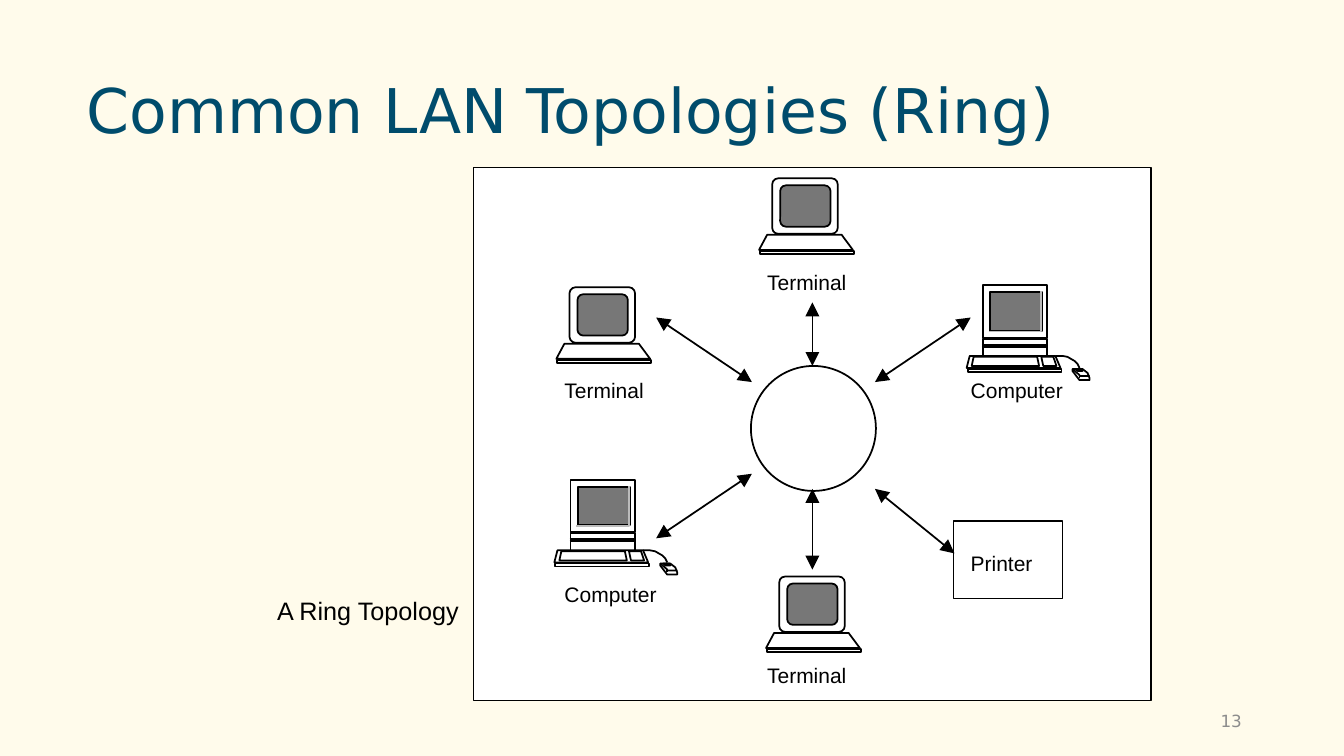
"""Build a slide showing a ring topology of terminals, computers and a printer."""
from dataclasses import dataclass

from lxml import etree
from pptx import Presentation
from pptx import util as u
from pptx.dml.color import RGBColor
from pptx.enum import shapes, text
from pptx.oxml.ns import qn


@dataclass(frozen=True)
class Theme:
    """Colours, fonts, type sizes and line widths of the slide."""
    background: str = "FFFBEB"
    title: str = "004C6C"
    number: str = "8C8C8C"
    ink: str = "000000"
    paper: str = "FFFFFF"
    screen: str = "777777"
    highlight: str = "BBBBBB"
    heading_font: str = "DejaVu Sans"
    body_font: str = "Arial"
    title_size: float = 44
    caption_size: float = 18
    label_size: float = 15
    number_size: float = 12
    frame_line: float = 0.75
    line: float = 1.25


THEME = Theme()
SHAPE = shapes.MSO_SHAPE
TERMINALS = [(397.4, 205.2), (542.2, 127.4), (547.2, 411.8)]
COMPUTERS = [(396, 342.7), (690.5, 203.8)]
LABELS = [
    ("Terminal", 548, 192.2), ("Terminal", 403.2, 270), ("Terminal", 548, 473),
    ("Computer", 693.4, 270), ("Computer", 403.2, 415.4), ("Printer", 693.4, 393.1),
]
ARROWS = [
    (468.7, 226.8, 537.1, 272.9), (580.3, 216, 580.3, 261.4),
    (693.4, 226.8, 625, 272.9), (625, 349.2, 681.8, 395.3),
    (580.3, 349.2, 580.3, 406.8), (468.7, 384.5, 537.1, 338.4),
]
MOUSE = [(82.8, 59.8), (75.6, 59.8), (75.6, 61.2), (80.6, 67.7),
         (87.8, 67.7), (87.8, 66.2), (86.4, 62.6)]
MOUSE_EDGE = [(75.6, 59.8), (80.6, 64.1), (80.6, 64.8), (87.8, 64.8)]
MOUSE_BUTTON = [(77.8, 59.8), (79.2, 61.2), (82.8, 61.2), (82.1, 59.8)]
CABLE = [(63.4, 50.4), (68.4, 50.4), (72, 51.1), (77, 54), (79.2, 56.2), (80.6, 59)]
KEYBOARD = [(0, 59), (2.2, 50.4), (63.4, 50.4), (67, 59)]
NUMBER_PAD = [(54.7, 57.6), (53.3, 51.1), (61.9, 51.1), (64.1, 57.6)]
MAIN_KEYS = [(51.8, 57.6), (50.4, 51.1), (5, 51.1), (3.6, 57.6)]
SCREEN_EDGE = [(15.8, 33.1), (53.3, 33.1), (53.3, 4.3)]
DRIVE_LINES = [(10.8, 42.5, 56.9, 42.5), (10.8, 43.9, 56.9, 43.9),
               (15.8, 43.9, 16.6, 42.5), (29.5, 43.9, 29.5, 42.5),
               (80.6, 66.2, 80.6, 64.8)]
TERMINAL_KEYBOARD = [(0, 51.1), (5.8, 40.3), (59, 40.3), (67, 51.1)]


def paint(shape, fill, line=THEME.ink, width=THEME.line):
    """Give a shape its fill and line, without a shadow."""
    shape.shadow.inherit = False
    if fill:
        shape.fill.solid()
        shape.fill.fore_color.rgb = RGBColor.from_string(fill)
    else:
        shape.fill.background()
    shape.line.color.rgb = RGBColor.from_string(line)
    shape.line.width = u.Pt(width)


def add_box(slide, kind, box, fill, width=THEME.line, rounding=None):
    """Add a preset shape."""
    shape = slide.shapes.add_shape(kind, *map(u.Pt, box))
    if rounding is not None:
        shape.adjustments[0] = rounding
    paint(shape, fill, width=width)


def add_outline(slide, origin, points, fill=None, closed=True, line=THEME.ink):
    """Add a freeform whose points are measured from an origin."""
    left, top = origin
    vertices = [(u.Pt(left + x), u.Pt(top + y)) for x, y in points]
    builder = slide.shapes.build_freeform(*vertices[0])
    builder.add_line_segments(vertices[1:], close=closed)
    paint(builder.convert_to_shape(), fill, line)


def add_line(slide, ends, arrows=False):
    """Add a straight line, with an arrowhead at both ends if asked."""
    connector = slide.shapes.add_connector(
        shapes.MSO_CONNECTOR.STRAIGHT, *map(u.Pt, ends))
    connector.line.color.rgb = RGBColor.from_string(THEME.ink)
    connector.line.width = u.Pt(THEME.line)
    properties = connector._element.spPr
    if arrows:
        outline = properties.find(qn("a:ln"))
        for end in ("a:headEnd", "a:tailEnd"):
            etree.SubElement(outline, qn(end), type="triangle", w="lg", len="lg")
    etree.SubElement(properties, qn("a:effectLst"))


def add_text(slide, words, box, size, color, font=THEME.body_font,
             align=text.PP_ALIGN.LEFT, anchor=text.MSO_ANCHOR.TOP,
             spacing=None, tight=False):
    """Add a one-line text box; a tight one has no margins and no wrapping."""
    frame = slide.shapes.add_textbox(*map(u.Pt, box)).text_frame
    frame.word_wrap = not tight
    frame.vertical_anchor = anchor
    if tight:
        frame.margin_left = frame.margin_right = 0
        frame.margin_top = frame.margin_bottom = 0
    paragraph = frame.paragraphs[0]
    paragraph.alignment = align
    paragraph.line_spacing = spacing
    run = paragraph.add_run()
    run.text = words
    run.font.name = font
    run.font.size = u.Pt(size)
    run.font.color.rgb = RGBColor.from_string(color)


def add_part(slide, origin, kind, box, fill, rounding=None):
    """Add a preset shape whose place is measured from an origin."""
    left, top, width, height = box
    add_box(slide, kind, (origin[0] + left, origin[1] + top, width, height),
            fill, rounding=rounding)


def add_terminal(slide, origin):
    """Draw a terminal with a rounded monitor."""
    add_part(slide, origin, SHAPE.RECTANGLE, (0.7, 51.8, 67, 2.2), THEME.paper)
    add_outline(slide, origin, TERMINAL_KEYBOARD, THEME.paper)
    add_part(slide, origin, SHAPE.ROUNDED_RECTANGLE, (9.4, 0, 46.8, 39.6),
             THEME.paper, 0.106)
    add_part(slide, origin, SHAPE.ROUNDED_RECTANGLE, (15.1, 5, 36, 29.5),
             THEME.screen, 0.14)


def add_computer(slide, origin):
    """Draw a computer with a keyboard and a mouse."""
    add_outline(slide, origin, CABLE, closed=False)
    add_outline(slide, origin, MOUSE, THEME.paper)
    add_outline(slide, origin, MOUSE_EDGE, closed=False)
    add_outline(slide, origin, MOUSE_BUTTON, THEME.paper)
    add_part(slide, origin, SHAPE.RECTANGLE, (11.5, 0, 46.1, 37.4), THEME.paper)
    add_part(slide, origin, SHAPE.RECTANGLE, (16.6, 5, 37.4, 27.4), THEME.screen)
    add_outline(slide, origin, SCREEN_EDGE, closed=False, line=THEME.highlight)
    add_part(slide, origin, SHAPE.RECTANGLE, (11.5, 38.2, 46.1, 17.3), THEME.paper)
    left, top = origin
    for x1, y1, x2, y2 in DRIVE_LINES:
        add_line(slide, (left + x1, top + y1, left + x2, top + y2))
    add_part(slide, origin, SHAPE.RECTANGLE, (0.7, 59.8, 67, 2.2), THEME.paper)
    for keys in (KEYBOARD, NUMBER_PAD, MAIN_KEYS):
        add_outline(slide, origin, keys, THEME.paper)


def main():
    """Build and save the slide."""
    presentation = Presentation()
    presentation.slide_width, presentation.slide_height = u.Pt(960), u.Pt(540)
    slide = presentation.slides.add_slide(presentation.slide_layouts[6])
    slide.background.fill.solid()
    slide.background.fill.fore_color.rgb = RGBColor.from_string(THEME.background)
    add_text(slide, "Common LAN Topologies (Ring)", (54.7, 28.8, 850.3, 104.4),
             THEME.title_size, THEME.title, THEME.heading_font,
             anchor=text.MSO_ANCHOR.MIDDLE, spacing=0.9)
    add_text(slide, "13", (678.2, 500.4, 216, 28.8), THEME.number_size,
             THEME.number, THEME.heading_font, text.PP_ALIGN.RIGHT,
             text.MSO_ANCHOR.MIDDLE)
    add_box(slide, SHAPE.RECTANGLE, (338.4, 119.5, 483.8, 380.9), THEME.paper,
            THEME.frame_line)
    for origin in COMPUTERS:
        add_computer(slide, origin)
    for origin in TERMINALS:
        add_terminal(slide, origin)
    add_box(slide, SHAPE.RECTANGLE, (681.1, 372.2, 77.8, 55.4), THEME.paper)
    for words, left, top in LABELS:
        add_text(slide, words, (left, top, 67, 22.3), THEME.label_size,
                 THEME.ink, tight=True)
    for ends in ARROWS:
        add_line(slide, ends, arrows=True)
    add_box(slide, SHAPE.OVAL, (536.4, 261.4, 89.3, 89.3), None)
    add_text(slide, "A Ring Topology", (190.8, 421.9, 147.6, 28.8),
             THEME.caption_size, THEME.ink)
    presentation.save("out.pptx")


if __name__ == "__main__":
    main()
